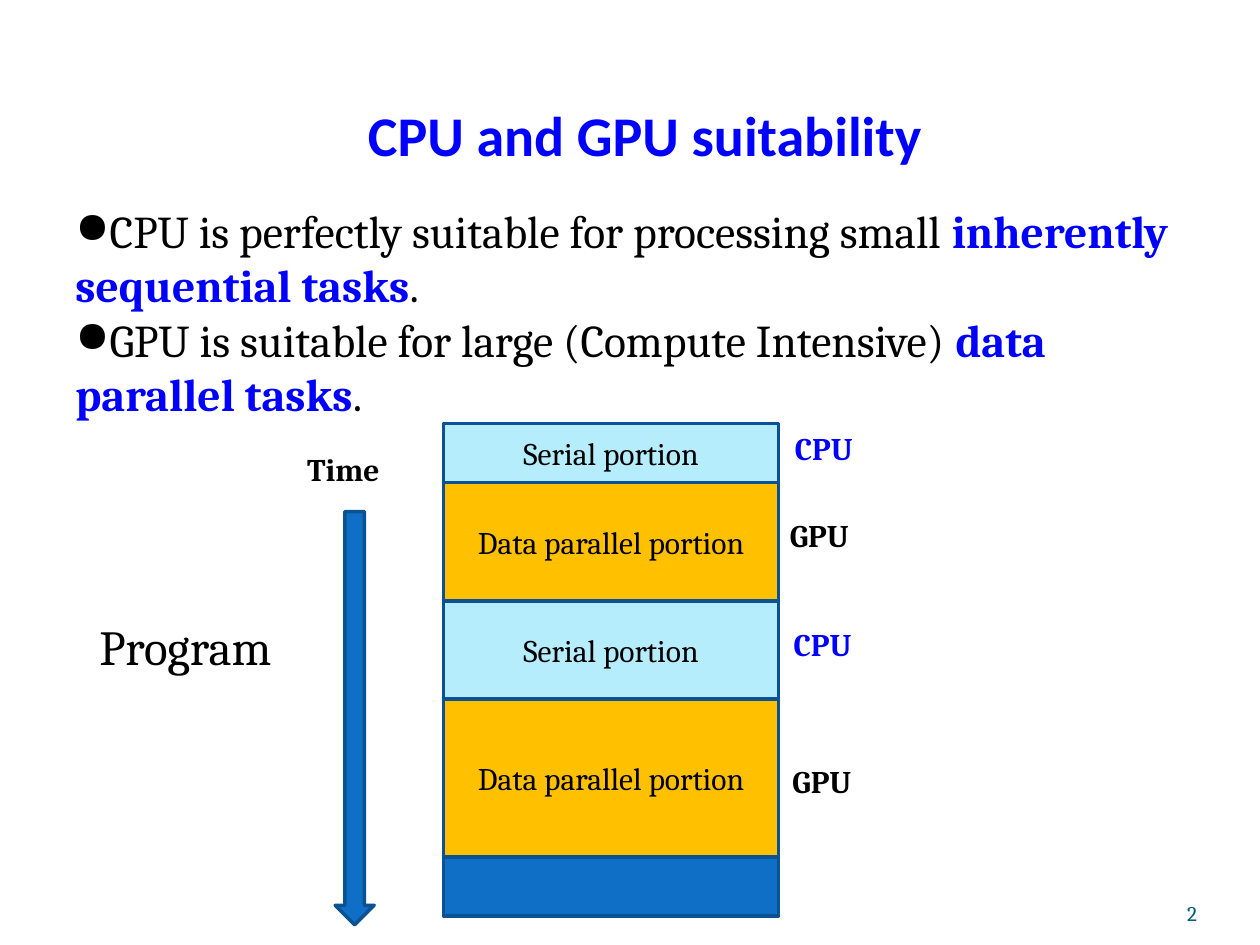
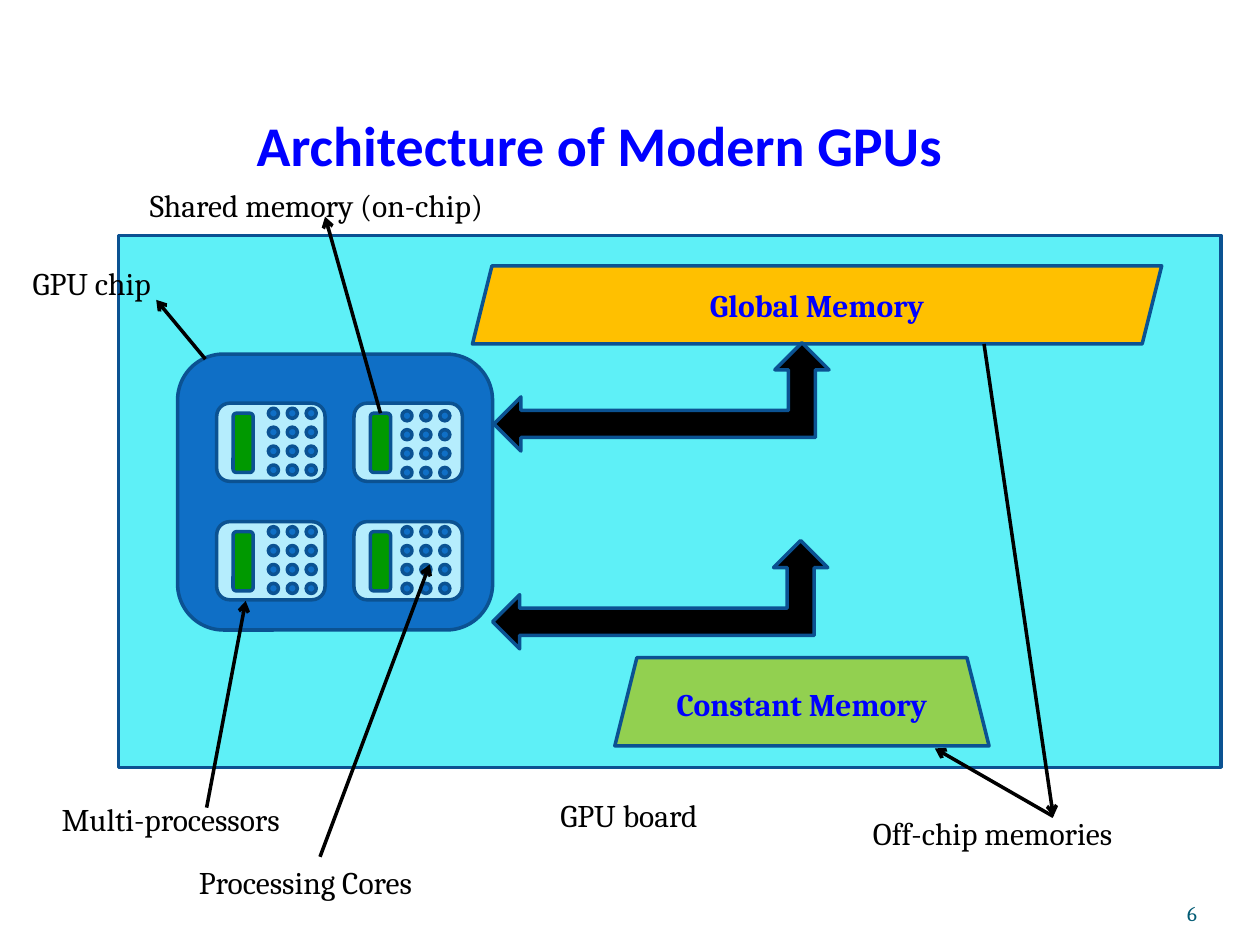
from lxml.etree import SubElement
from pptx import Presentation
from pptx.dml.color import RGBColor
from pptx.enum.shapes import MSO_CONNECTOR, MSO_SHAPE
from pptx.enum.text import MSO_ANCHOR, PP_ALIGN
from pptx.oxml.ns import qn
from pptx.util import Inches, Pt

BLACK = RGBColor(0x00, 0x00, 0x00)
BLUE = RGBColor(0x00, 0x00, 0xFF)
TEAL = RGBColor(0x03, 0x5C, 0x75)
CHIP_BLUE = RGBColor(0x0F, 0x6F, 0xC6)
OUTLINE = RGBColor(0x0B, 0x52, 0x92)
PALE_BLUE = RGBColor(0xB5, 0xED, 0xFD)
ORANGE = RGBColor(0xFF, 0xC0, 0x00)
CYAN = RGBColor(0x5E, 0xF0, 0xF7)
LIME = RGBColor(0x92, 0xD0, 0x50)
GREEN = RGBColor(0x00, 0x99, 0x00)
LINE_WIDTH = Pt(2)


def write(shape, text, size=18, color=BLACK, bold=False, align=PP_ALIGN.LEFT,
          anchor=MSO_ANCHOR.TOP, font="Cambria"):
    frame = shape.text_frame
    frame.word_wrap = True
    frame.vertical_anchor = anchor
    para = frame.paragraphs[0]
    para.text = text
    para.alignment = align
    para.font.name = font
    para.font.size = Pt(size)
    para.font.bold = bold
    para.font.color.rgb = color
    return frame


def draw(page, kind, place, fill):
    shape = page.shapes.add_shape(kind, *map(Inches, place))
    shape.shadow.inherit = False
    shape.fill.solid()
    shape.fill.fore_color.rgb = fill
    shape.line.color.rgb = OUTLINE
    shape.line.width = LINE_WIDTH
    return shape


deck = Presentation()
deck.slide_width = Inches(10)
deck.slide_height = Inches(7.5)

for title, place, number in [
    ("CPU and GPU suitability", (0.62, 0.47, 9, 0.86), "2"),
    ("Architecture of Modern GPUs ", (0.31, 0.16, 9, 1.25), "6"),
]:
    page = deck.slides.add_slide(deck.slide_layouts[6])
    box = page.shapes.add_textbox(*map(Inches, place))
    title_frame = write(box, title, 32, BLUE, True, PP_ALIGN.CENTER, MSO_ANCHOR.BOTTOM, "Calibri")
    box = page.shapes.add_textbox(Inches(8.67), Inches(6.95), Inches(0.83), Inches(0.4))
    number_frame = write(box, number, 12, TEAL, False, PP_ALIGN.RIGHT, MSO_ANCHOR.BOTTOM)
    for frame in (title_frame, number_frame):
        frame.margin_left = frame.margin_right = frame.margin_bottom = 0
    number_frame.margin_top = 0

suitability, architecture = deck.slides

box = suitability.shapes.add_textbox(Inches(0.5), Inches(1.56), Inches(9), Inches(5.35))
frame = box.text_frame
frame.word_wrap = True
for index, (opening, emphasis) in enumerate([
    ("CPU is perfectly suitable for processing small ", "inherently sequential tasks"),
    ("GPU is suitable for large (Compute Intensive) ", "data parallel tasks"),
]):
    para = frame.add_paragraph() if index else frame.paragraphs[0]
    para.font.name = "Cambria"
    para.font.size = Pt(26)
    for text, color, bold in [(opening, BLACK, False), (emphasis, BLUE, True), (".", BLACK, False)]:
        span = para.add_run()
        span.text = text
        span.font.name = "Cambria"
        span.font.size = Pt(26)
        span.font.color.rgb = color
        span.font.bold = bold
    properties = para._p.get_or_add_pPr()
    properties.set("marL", "0")
    properties.set("indent", "0")
    bullet_size = SubElement(properties, qn("a:buSzPct"), val="95000")
    bullet = SubElement(properties, qn("a:buChar"), char="●")
    properties.insert(0, bullet_size)
    properties.insert(1, bullet)

draw(suitability, MSO_SHAPE.RECTANGLE, (3.52, 3.36, 2.66, 3.91), CHIP_BLUE)
portion_top = 3.36
for text, height, fill in [
    ("Serial portion", 0.47, PALE_BLUE),
    ("Data parallel portion", 0.94, ORANGE),
    ("Serial portion", 0.78, PALE_BLUE),
    ("Data parallel portion", 1.25, ORANGE),
]:
    portion = draw(suitability, MSO_SHAPE.RECTANGLE, (3.52, portion_top, 2.66, height), fill)
    write(portion, text, align=PP_ALIGN.CENTER, anchor=MSO_ANCHOR.MIDDLE)
    portion_top += height

for text, left, top, color in [
    ("CPU", 6.21, 3.36, BLUE),
    ("GPU", 6.17, 4.05, BLACK),
    ("CPU", 6.2, 4.91, BLUE),
    ("GPU", 6.19, 6, BLACK),
    ("Time", 2.34, 3.52, BLACK),
]:
    box = suitability.shapes.add_textbox(Inches(left), Inches(top), Inches(0.94), Inches(0.4))
    write(box, text, color=color, bold=True)

box = suitability.shapes.add_textbox(Inches(0.69), Inches(4.84), Inches(1.83), Inches(0.57))
write(box, "Program", 28).word_wrap = False
draw(suitability, MSO_SHAPE.DOWN_ARROW, (2.66, 4.06, 0.31, 3.28), CHIP_BLUE)

draw(architecture, MSO_SHAPE.RECTANGLE, (0.94, 1.87, 8.75, 4.22), CYAN)
draw(architecture, MSO_SHAPE.ROUNDED_RECTANGLE, (1.41, 2.81, 2.5, 2.19), CHIP_BLUE)
for left, top, core_left, core_top in [
    (1.72, 3.2, 2.13, 3.24),
    (2.81, 3.2, 3.19, 3.26),
    (1.72, 4.14, 2.13, 4.18),
    (2.81, 4.14, 3.19, 4.18),
]:
    draw(architecture, MSO_SHAPE.ROUNDED_RECTANGLE, (left, top, 0.86, 0.62), PALE_BLUE)
    draw(architecture, MSO_SHAPE.ROUNDED_RECTANGLE, (left + 0.13, top + 0.08, 0.16, 0.47), GREEN)
    for column in range(3):
        for row in range(4):
            place = (core_left + column * 0.15, core_top + row * 0.15, 0.08, 0.08)
            draw(architecture, MSO_SHAPE.OVAL, place, CHIP_BLUE)

for kind, place, fill, text in [
    (MSO_SHAPE.PARALLELOGRAM, (3.75, 2.11, 5.47, 0.62), ORANGE, "Global Memory"),
    (MSO_SHAPE.TRAPEZOID, (4.88, 5.22, 2.97, 0.7), LIME, "Constant Memory"),
]:
    memory = draw(architecture, kind, place, fill)
    memory.adjustments[0] = 0.25
    write(memory, text, color=BLUE, bold=True, align=PP_ALIGN.CENTER, anchor=MSO_ANCHOR.MIDDLE)

for left, top in [(3.92, 2.72), (3.91, 4.29)]:
    draw(architecture, MSO_SHAPE.LEFT_UP_ARROW, (left, top, 2.66, 0.86), BLACK)

for text, place in [
    ("GPU board", (4.35, 6.27, 1.8, 0.4)),
    ("GPU chip", (0.16, 2.05, 1.25, 0.7)),
    ("Multi-processors", (0.39, 6.3, 2.03, 0.7)),
    ("Processing Cores", (1.48, 6.8, 2.11, 0.7)),
    ("Shared memory (on-chip)", (1.09, 1.43, 3.12, 0.7)),
    ("Off-chip memories", (6.83, 6.41, 2.73, 0.4)),
]:
    write(architecture.shapes.add_textbox(*map(Inches, place)), text)

for ends in [
    (1.63, 2.85, 1.24, 2.38),
    (1.64, 6.41, 1.95, 4.77),
    (2.54, 6.8, 3.41, 4.48),
    (3.02, 3.28, 2.58, 1.72),
    (8.36, 6.48, 7.42, 5.94),
    (7.81, 2.73, 8.36, 6.48),
]:
    pointer = architecture.shapes.add_connector(MSO_CONNECTOR.STRAIGHT, *map(Inches, ends))
    pointer.line.color.rgb = BLACK
    pointer.line.width = LINE_WIDTH
    SubElement(pointer.line._get_or_add_ln(), qn("a:tailEnd"), type="arrow")
    SubElement(pointer._element.spPr, qn("a:effectLst"))

deck.save("out.pptx")
